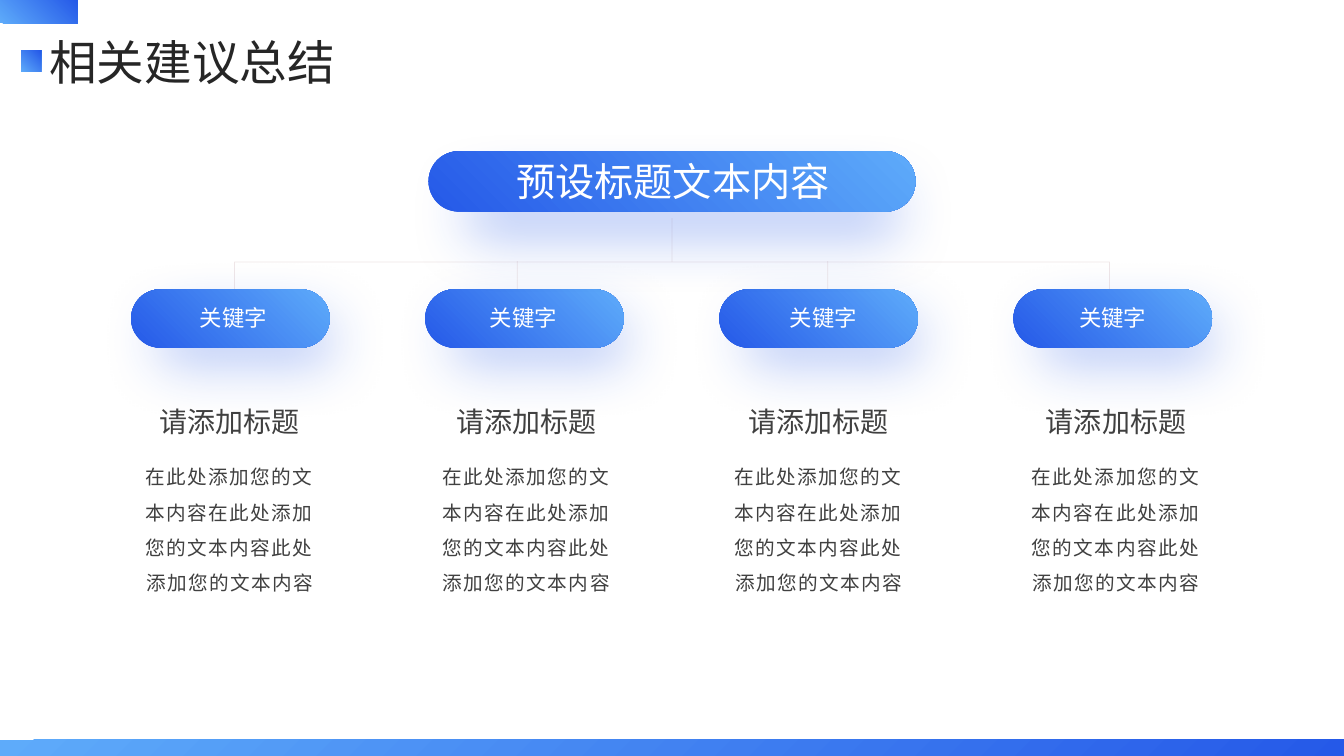
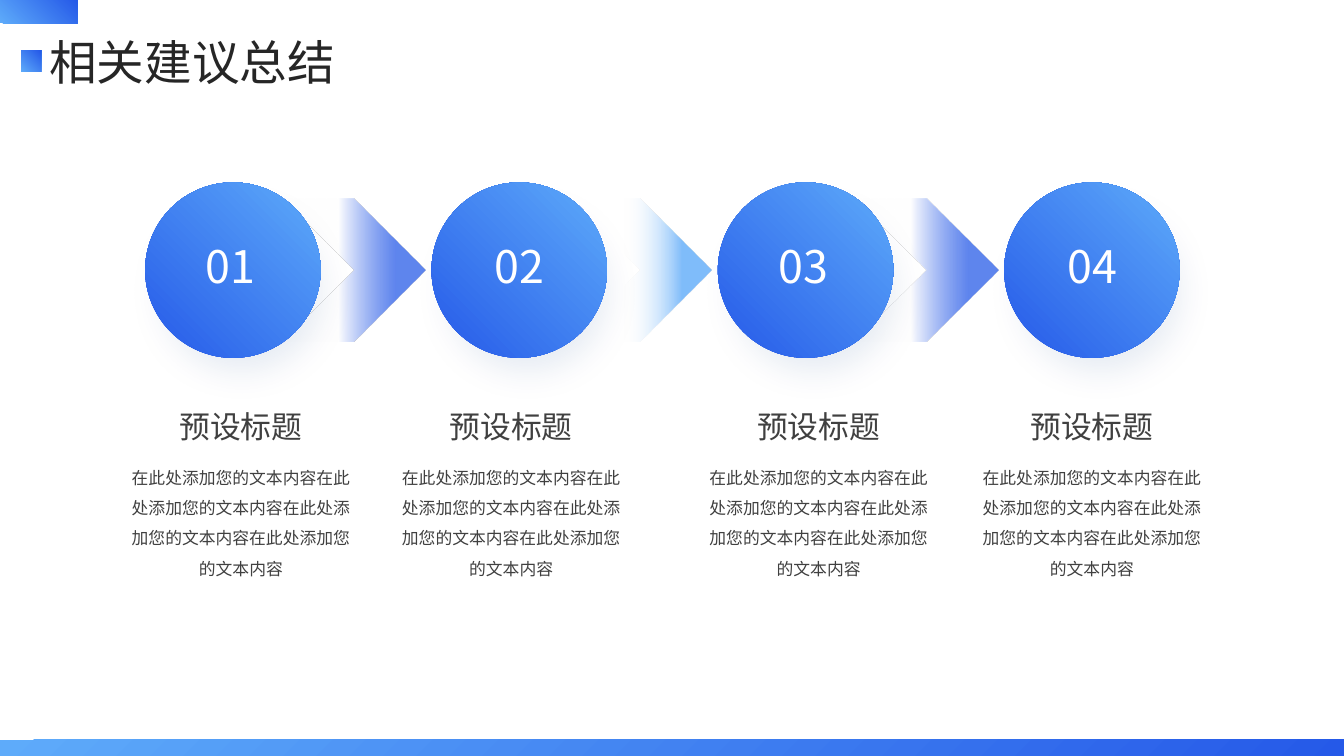
from lxml.etree import SubElement
from pptx import Presentation
from pptx.dml.color import RGBColor
from pptx.enum.shapes import MSO_CONNECTOR, MSO_SHAPE
from pptx.enum.text import MSO_ANCHOR, MSO_AUTO_SIZE, PP_ALIGN
from pptx.oxml.ns import qn
from pptx.util import Inches, Pt

FONT = "Noto Sans CJK SC"
BLUE, SKY, WHITE = "2559E8", "5EABFA", "FFFFFF"
INK, GREY = "262626", "404040"
NAVY, BRANCH = "093C89", "691116"
DARK_TO_LIGHT = [(0, BLUE, 100), (100, SKY, 100)]
LIGHT_TO_DARK = [(0, SKY, 100), (100, BLUE, 100)]
SLIDE_TITLE = "相关建议总结"


def rgb(hex_code):
    return RGBColor.from_string(hex_code)


def set_alpha(colour, percent):
    if percent < 100:
        SubElement(colour, qn("a:alpha")).set("val", str(percent * 1000))


def fill_gradient(shape, stops, angle):
    """Two stops of (position, colour, opacity); angle runs counter-clockwise."""
    shape.fill.gradient()
    shape.fill.gradient_angle = angle
    for stop, (position, colour, _) in zip(shape.fill.gradient_stops, stops):
        stop.position = position / 100
        stop.color.rgb = rgb(colour)
    for element, (_, _, opacity) in zip(shape.element.iter(qn("a:srgbClr")), stops):
        set_alpha(element, opacity)


def add_plain_shape(slide, kind, left, top, width, height):
    shape = slide.shapes.add_shape(
        kind, Inches(left), Inches(top), Inches(width), Inches(height))
    shape.shadow.inherit = False
    return shape


def add_gradient_shape(slide, kind, left, top, width, height, stops, angle=45):
    shape = add_plain_shape(slide, kind, left, top, width, height)
    shape.line.fill.background()
    fill_gradient(shape, stops, angle)
    return shape


def add_glow(shape, colour, opacity, blur, distance, direction):
    effects = shape.element.spPr.find(qn("a:effectLst"))
    glow = SubElement(effects, qn("a:outerShdw"), {
        "blurRad": str(Pt(blur)), "dist": str(Pt(distance)),
        "dir": str(direction * 60000), "sx": "90000", "sy": "90000",
        "algn": "tl", "rotWithShape": "0"})
    set_alpha(SubElement(glow, qn("a:srgbClr"), {"val": colour}), opacity)


def write(frame, text, size, colour, align=PP_ALIGN.CENTER, tracking=0):
    frame.text = text
    frame.word_wrap = True
    paragraph = frame.paragraphs[0]
    paragraph.alignment = align
    for run in paragraph.runs:
        run.font.size = Pt(size)
        run.font.color.rgb = rgb(colour)
        run.font.name = FONT
        properties = run.font._element
        SubElement(properties, qn("a:ea")).set("typeface", FONT)
        if tracking:
            properties.set("spc", str(tracking * 100))
    return paragraph


def write_inside(shape, text, size, shift=0, raised=0):
    """White label, moved right by shift and up by raised."""
    frame = shape.text_frame
    frame.margin_left = Inches(2 * max(shift, 0))
    frame.margin_right = Inches(2 * max(-shift, 0))
    frame.margin_top, frame.margin_bottom = 0, Inches(2 * raised)
    frame.vertical_anchor = MSO_ANCHOR.MIDDLE
    write(frame, text, size, WHITE)


def add_text(slide, centre, top, width, height, text, size, tracking=0):
    box = slide.shapes.add_textbox(
        Inches(centre - width / 2), Inches(top), Inches(width), Inches(height))
    return write(box.text_frame, text, size, GREY, tracking=tracking)


def style_branch(branch):
    branch.line.width = Pt(0.5)
    branch.line.color.rgb = rgb(BRANCH)
    set_alpha(next(branch.element.iter(qn("a:srgbClr"))), 10)


def add_pill(slide, left, top, width, height, text, size, distance, shift=0):
    pill = add_gradient_shape(slide, MSO_SHAPE.ROUNDED_RECTANGLE,
                              left, top, width, height, DARK_TO_LIGHT)
    pill.adjustments[0] = 0.5
    add_glow(pill, BLUE, 30, 40, distance, 45)
    write_inside(pill, text, size, shift, 0.01)


def add_titled_slide(deck):
    """Slide with the shared corner tab, title marker, title and bottom band."""
    slide = deck.slides.add_slide(deck.slide_layouts[5])
    for left, top, width, height, angle in (
            (0, -0.01, 0.77, 0.24, 45),
            (0.21, 0.5, 0.2, 0.21, 45),
            (0, 7.34, 13.33, 0.2, 315)):
        add_gradient_shape(slide, MSO_SHAPE.RECTANGLE,
                           left, top, width, height, LIGHT_TO_DARK, angle)
    title = slide.shapes.title
    title.left, title.top = Inches(0.39), Inches(0.28)
    title.width, title.height = Inches(3.11), Inches(0.67)
    frame = title.text_frame
    frame.auto_size = MSO_AUTO_SIZE.NONE
    frame.vertical_anchor = MSO_ANCHOR.MIDDLE
    write(frame, SLIDE_TITLE, 34, INK, PP_ALIGN.JUSTIFY)
    return slide


def build_keyword_tree(deck):
    slide = add_titled_slide(deck)

    # A square brace spreads from the banner, two lines reach the inner keywords
    brace = add_plain_shape(slide, MSO_SHAPE.RIGHT_BRACE, 6.23, -1.74, 0.87, 8.68)
    brace.rotation = 270
    brace.adjustments[0], brace.adjustments[1] = 0, 0.5
    brace.fill.background()
    style_branch(brace)
    for leg in (5.13, 8.21):
        line = slide.shapes.add_connector(
            MSO_CONNECTOR.STRAIGHT, Inches(leg), Inches(2.59), Inches(leg), Inches(3.08))
        style_branch(line)
        SubElement(line.element.spPr, qn("a:effectLst"))

    # Keywords with their headings and descriptions
    description = "在此处添加您的文本内容在此处添加您的文本内容此处添加您的文本内容"
    columns = ((2.28, 0.03), (5.22, -0.01), (8.12, 0.05), (11.07, 0))
    for column, (centre, shift) in enumerate(columns):
        add_pill(slide, 1.3 + 2.917 * column, 2.87, 1.97, 0.58, "关键字", 16, 25, shift)
        add_text(slide, centre, 3.96, 1.61, 0.44, "请添加标题", 20)
        body = add_text(slide, centre, 4.45, 2.06, 1.51, description, 14, tracking=1)
        body.line_spacing = 1.5

    add_pill(slide, 4.25, 1.5, 4.83, 0.6, "预设标题文本内容", 28, 35, 0.01)


def build_step_chain(deck):
    slide = add_titled_slide(deck)
    pitch = 2.84

    # Arrows lie behind the circles
    violet = [(39, WHITE, 100), (79, BLUE, 73)]
    pale = [(39, WHITE, 0), (79, SKY, 78)]
    for step, stops in enumerate((violet, pale, violet)):
        add_gradient_shape(slide, MSO_SHAPE.CHEVRON, 2.8 + pitch * step, 1.97,
                           1.42, 1.42, stops, 0)

    # Numbered circles with their headings and descriptions
    description = "在此处添加您的文本内容" * 4
    columns = ((2.39, -0.02), (5.07, 0), (8.12, -0.02), (10.83, 0.01))
    for step, (centre, shift) in enumerate(columns):
        circle = add_gradient_shape(slide, MSO_SHAPE.OVAL, 1.44 + pitch * step, 1.81,
                                    1.74, 1.74, DARK_TO_LIGHT)
        add_glow(circle, NAVY, 10, 25, 25, 60)
        write_inside(circle, f"{step + 1:02d}", 32, shift, 0.04)
        add_text(slide, centre, 4, 2.91, 0.47, "预设标题", 22)
        body = add_text(slide, centre, 4.49, 2.46, 1.31, description, 12)
        body.line_spacing = 1.5
        body.space_after = Pt(5)


def main():
    deck = Presentation()
    deck.slide_width, deck.slide_height = Inches(13.33), Inches(7.5)
    build_keyword_tree(deck)
    build_step_chain(deck)
    deck.save("out.pptx")


if __name__ == "__main__":
    main()
